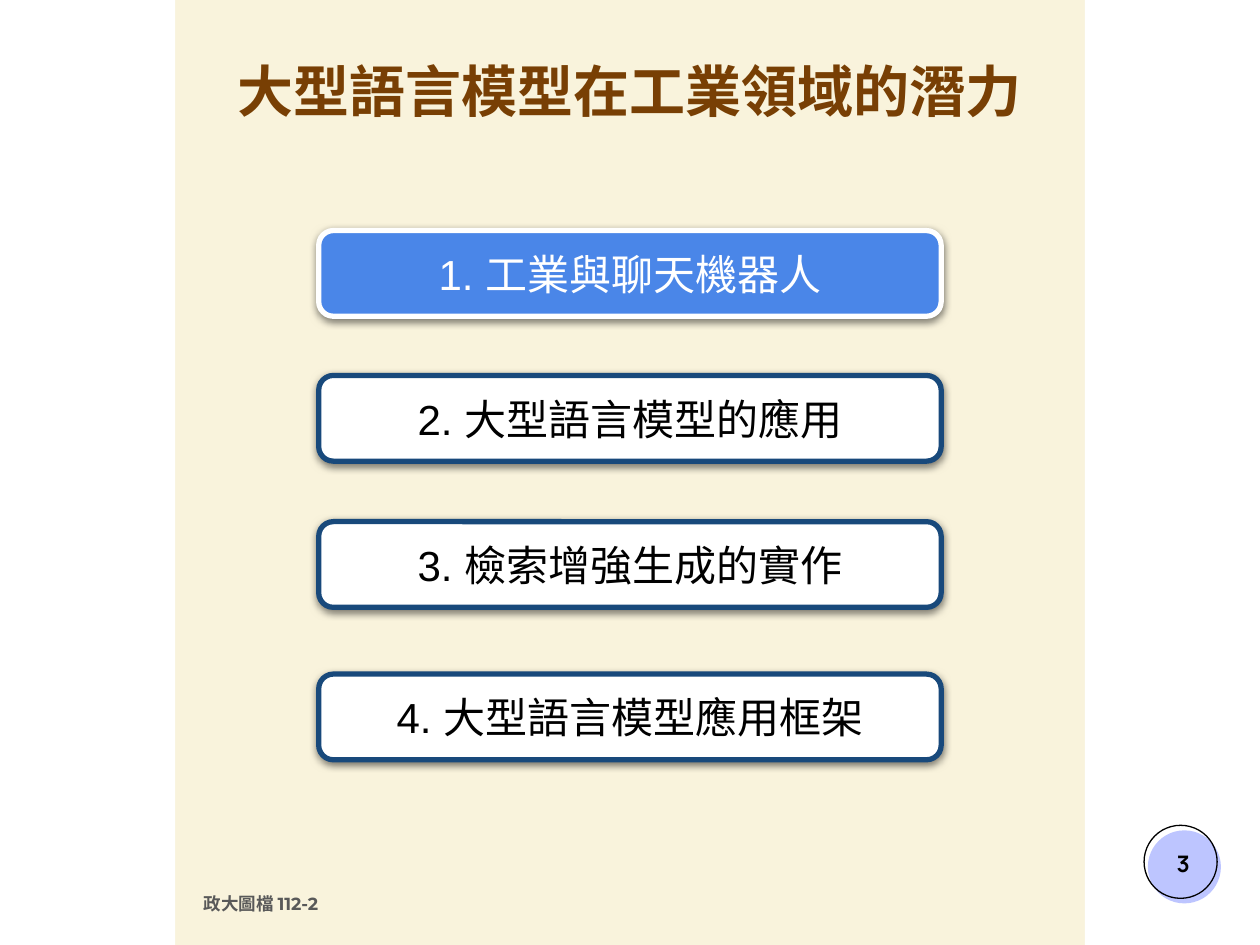
"""Build the agenda slide on large language models in industry."""
import pptx
import pptx.dml.color
import pptx.enum.shapes
import pptx.enum.text
import pptx.oxml
import pptx.oxml.ns
import pptx.util

COLORS = {
    "cream": "F9F3DC", "white": "FFFFFF", "black": "000000", "gray": "595959",
    "brown": "783F04", "blue": "4A86E8", "navy": "18497B", "lavender": "BDC5FF",
}
SHADOW = (
    f'<a:effectLst {pptx.oxml.ns.nsdecls("a")}>'
    '<a:outerShdw blurRad="57150" dist="19050" dir="5400000" algn="bl" rotWithShape="0">'
    f'<a:srgbClr val="{COLORS["black"]}"><a:alpha val="50000"/></a:srgbClr>'
    '</a:outerShdw></a:effectLst>'
)
SHAPES = pptx.enum.shapes.MSO_SHAPE
ANCHOR = pptx.enum.text.MSO_ANCHOR
ALIGN = pptx.enum.text.PP_ALIGN

presentation = pptx.Presentation()
presentation.slide_width = pptx.util.Inches(10)
presentation.slide_height = pptx.util.Inches(7.5)
column = presentation.slide_width / 100
row = presentation.slide_height / 75
slide = presentation.slides.add_slide(presentation.slide_layouts[6])
slide.background.fill.solid()
slide.background.fill.fore_color.rgb = pptx.dml.color.RGBColor.from_string(COLORS["cream"])


def add_shape(kind, box, fill=None, line=None, line_width=0.75):
    left, top, width, height = box
    shape = slide.shapes.add_shape(
        kind, int(left * column), int(top * row), int(width * column), int(height * row))
    shape.shadow.inherit = False
    for target, color in ((shape.fill, fill), (shape.line.fill, line)):
        if color:
            target.solid()
            target.fore_color.rgb = pptx.dml.color.RGBColor.from_string(COLORS[color])
        else:
            target.background()
    if line:
        shape.line.width = pptx.util.Pt(line_width)
    return shape


def write_text(shape, text, color, font, align=ALIGN.CENTER, anchor=ANCHOR.MIDDLE, inset_top=1):
    frame = shape.text_frame
    frame_format = {
        "word_wrap": True, "vertical_anchor": anchor, "margin_top": int(inset_top * row),
        "margin_bottom": int(row), "margin_left": int(column), "margin_right": int(column),
    }
    for name, value in frame_format.items():
        setattr(frame, name, value)
    paragraph = frame.paragraphs[0]
    paragraph.alignment = align
    run = paragraph.add_run()
    run.text = text
    for name, value in font.items():
        setattr(run.font, name, value)
    run.font.color.rgb = pptx.dml.color.RGBColor.from_string(COLORS[color])


margin = 13.9
for left in (0, 100 - margin):
    add_shape(SHAPES.RECTANGLE, (left, 0, margin, 75), "white")
add_shape(SHAPES.OVAL, (91.1, 65.9, 5.8, 5.8), "lavender")
add_shape(SHAPES.OVAL, (90.8, 65.5, 5.8, 5.8), line="black")

labels = [
    ((15.2, 70, 43.1, 3.7), "政大圖檔 112-2", "gray", "Montserrat", 10, ALIGN.LEFT, ANCHOR.TOP, 1),
    ((90.9, 65.7, 6, 5.7), "3", "black", "Manrope", 13, ALIGN.CENTER, ANCHOR.MIDDLE, 1),
    ((margin, 4.5, 100 - 2 * margin, 6.8), "大型語言模型在工業領域的潛力", "brown", "Manrope", 32,
     ALIGN.CENTER, ANCHOR.TOP, 0),
]
for (left, top, width, height), text, color, typeface, size, align, anchor, inset_top in labels:
    text_box = slide.shapes.add_textbox(
        int(left * column), int(top * row), int(width * column), int(height * row))
    font = {"name": typeface, "size": pptx.util.Pt(size), "bold": True}
    write_text(text_box, text, color, font, align, anchor, inset_top)

topics = [
    (18.3, "工業與聊天機器人"),
    (29.8, "大型語言模型的應用"),
    (41.4, "檢索增強生成的實作"),
    (53.5, "大型語言模型應用框架"),
]
topic_font = {"name": "Arial", "size": pptx.util.Pt(24), "bold": False}
topic_width = 49.4
current_topic = 1
for number, (top, topic) in enumerate(topics, 1):
    fill, line, color = (
        ("blue", "white", "white") if number == current_topic else ("white", "navy", "black"))
    box = ((100 - topic_width) / 2, top, topic_width, 6.8)
    button = add_shape(SHAPES.ROUNDED_RECTANGLE, box, fill, line, 3)
    button.adjustments[0] = 0.17
    properties = button._element.spPr
    properties.replace(
        properties.find(pptx.oxml.ns.qn("a:effectLst")), pptx.oxml.parse_xml(SHADOW))
    write_text(button, f"{number}. {topic}", color, topic_font)

presentation.save("out.pptx")
